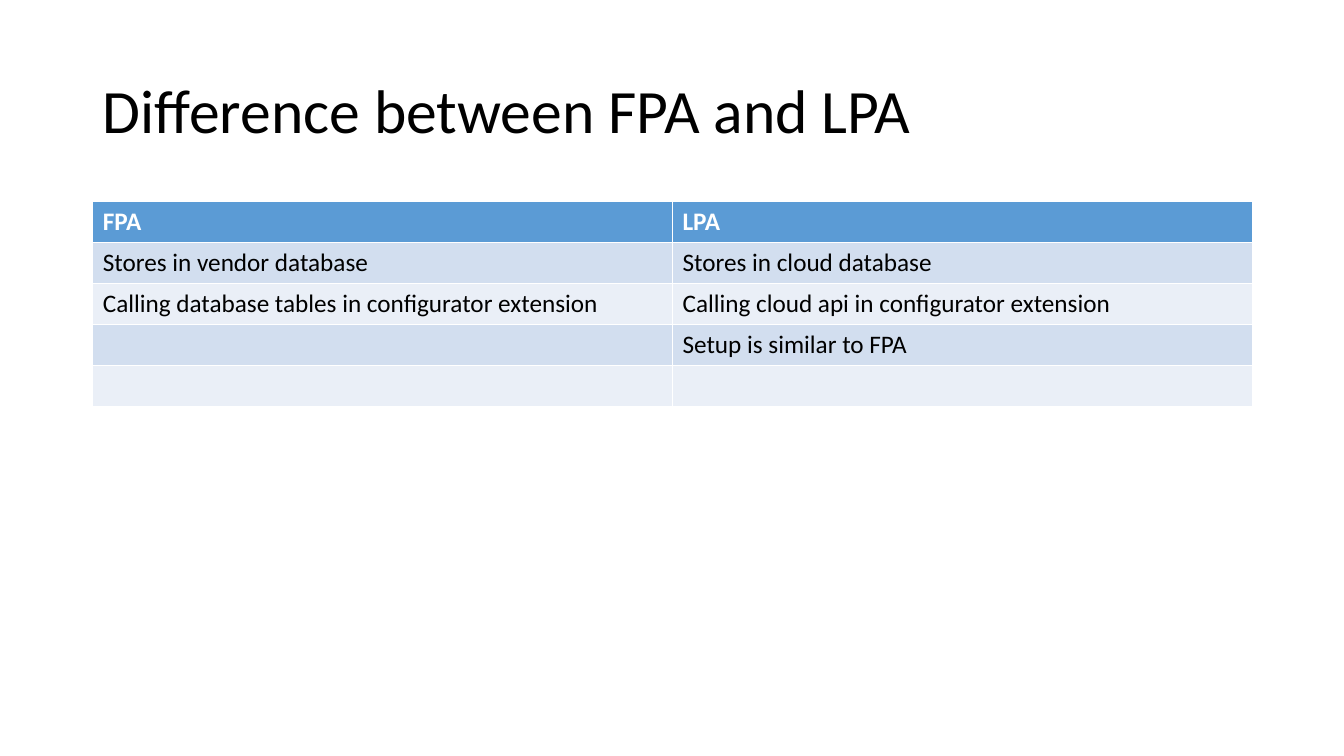
from pptx import Presentation
from pptx.dml.color import RGBColor
from pptx.enum import text
from pptx.util import Inches, Pt

BLACK = RGBColor(0x00, 0x00, 0x00)
WHITE = RGBColor(0xFF, 0xFF, 0xFF)
HEADER = RGBColor(0x5B, 0x9B, 0xD5)
BANDS = [RGBColor(0xEA, 0xEF, 0xF7), RGBColor(0xD2, 0xDE, 0xEF)]


def format_font(font, color, **values):
    font.color.rgb = color
    for name, value in values.items():
        setattr(font, name, value)


prs = Presentation()
prs.slide_width = Inches(13.33)
prs.slide_height = Inches(7.5)
slide = prs.slides.add_slide(prs.slide_layouts[5])

title = slide.shapes.title
box = {"left": 0.92, "top": 0.4, "width": 11.5, "height": 1.45}
for name, value in box.items():
    setattr(title, name, Inches(value))
tf = title.text_frame
tf.text = "Difference between FPA and LPA"
tf.vertical_anchor = text.MSO_ANCHOR.MIDDLE
p = tf.paragraphs[0]
p.alignment = text.PP_ALIGN.LEFT
p.line_spacing = 0.9
format_font(p.runs[0].font, BLACK, name="Calibri", size=Pt(44))

rows = [
    ("FPA", "LPA"),
    ("Stores in vendor database", "Stores in cloud database"),
    ("Calling database tables in configurator extension",
     "Calling cloud api in configurator extension"),
    ("", "Setup is similar to FPA"),
    ("", ""),
]
table = slide.shapes.add_table(
    len(rows), 2, Inches(0.92), Inches(2), Inches(11.5), Inches(2.03)).table

for i, row in enumerate(rows):
    is_header = i == 0
    for j, label in enumerate(row):
        cell = table.cell(i, j)
        cell.fill.solid()
        cell.fill.fore_color.rgb = HEADER if is_header else BANDS[i % 2]
        p = cell.text_frame.paragraphs[0]
        p.text = label
        format_font(p.font, WHITE if is_header else BLACK,
                    name="Calibri", size=Pt(18), bold=is_header)
        for r in p.runs:
            format_font(r.font, WHITE if is_header else BLACK,
                        name="Calibri", size=Pt(18), bold=is_header)

prs.save("out.pptx")
